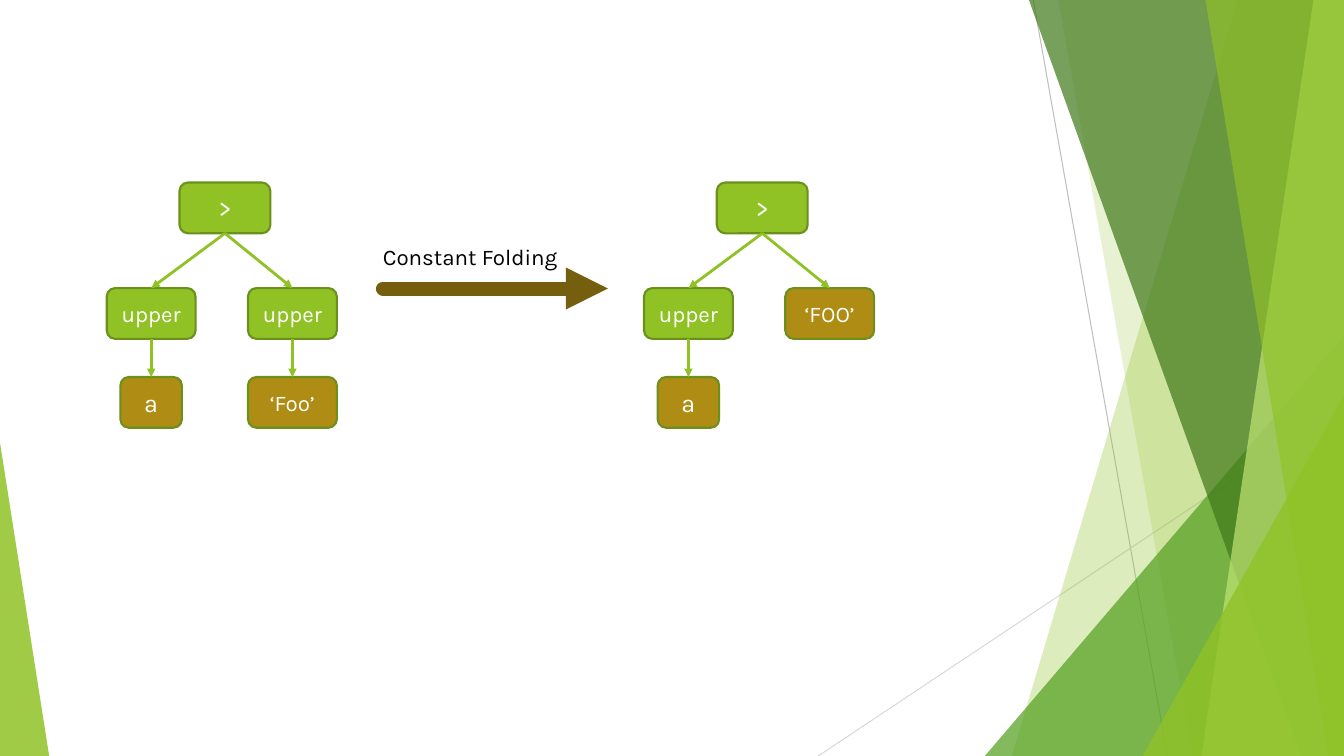
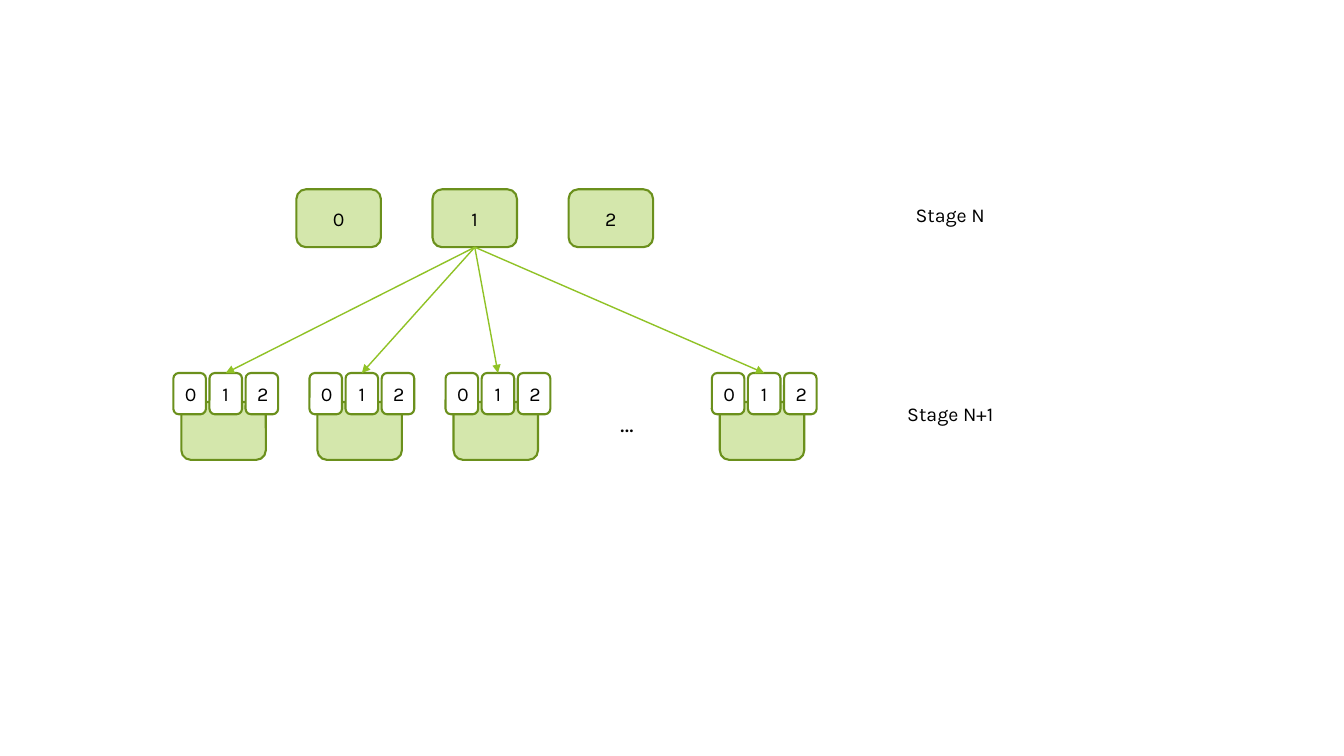
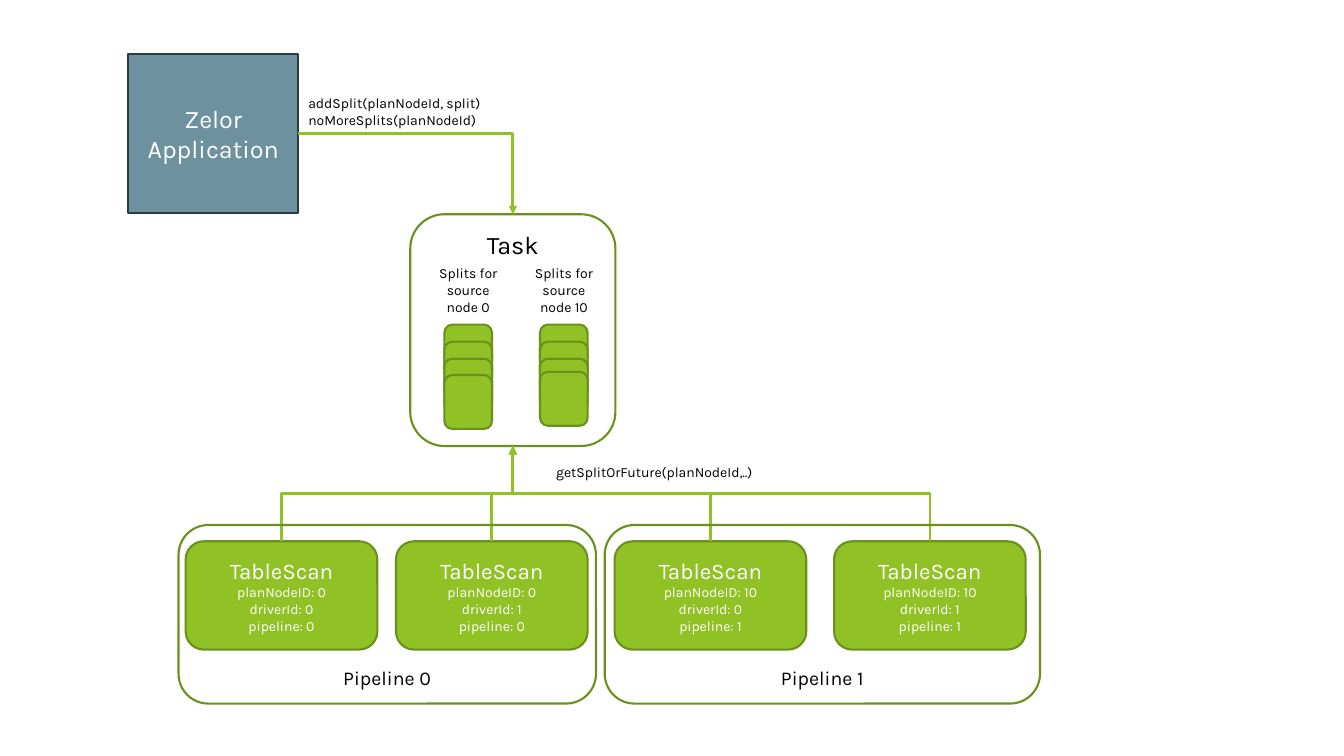
from dataclasses import dataclass

from lxml.etree import SubElement
from pptx import Presentation
from pptx.dml.color import RGBColor
from pptx.enum.shapes import MSO_CONNECTOR, MSO_SHAPE
from pptx.enum.text import MSO_ANCHOR, MSO_AUTO_SIZE, PP_ALIGN
from pptx.oxml.ns import qn
from pptx.util import Cm, Pt

ROUNDED, RECT, TRIANGLE = MSO_SHAPE.ROUNDED_RECTANGLE, MSO_SHAPE.RECTANGLE, MSO_SHAPE.ISOSCELES_TRIANGLE
STRAIGHT, ELBOW = MSO_CONNECTOR.STRAIGHT, MSO_CONNECTOR.ELBOW
TOP, MIDDLE, BOTTOM = MSO_ANCHOR.TOP, MSO_ANCHOR.MIDDLE, MSO_ANCHOR.BOTTOM
LEFT, CENTER = PP_ALIGN.LEFT, PP_ALIGN.CENTER
GROW = MSO_AUTO_SIZE.SHAPE_TO_FIT_TEXT
SITE_TOP, SITE_BOTTOM, SITE_RIGHT = 0, 2, 3


@dataclass(frozen=True)
class Theme:
    font: str = "Karla"
    green: str = "90C226"
    outline: str = "6B901C"
    gold: str = "AF8C14"
    brown: str = "755E0D"
    leaf: str = "54A021"
    forest: str = "3F7819"
    lime: str = "C0E474"
    steel: str = "6E91A0"
    slate: str = "2C3C43"
    white: str = "FFFFFF"
    black: str = "000000"
    grey: str = "BFBFBF"
    pale_grey: str = "D9D9D9"
    small: int = 10
    label: int = 14
    node: int = 16
    large: int = 18
    border: float = 1.5


T = Theme()
WIDTH, HEIGHT = 33.87, 19.05

BACKDROP_LINES = [
    (26.04, 0, 29.42, HEIGHT, T.grey),
    (WIDTH, 10.23, 20.62, HEIGHT, T.pale_grey),
]
BACKDROP_BANDS = [
    ("band", 31.19, 25.5, T.green, 30),
    ("band", 26.67, 30.05, T.green, 20),
    ("wedge", (24.82, 8.46, 9.05), 1, T.leaf, 72),
    ("band", 25.93, 32.79, T.forest, 70),
    ("band", 33.1, 30.28, T.lime, 70),
    ("band", 30.38, 33.48, T.green, 65),
    ("wedge", (28.8, 9.98, 5.07), 1, T.green, 80),
    ("wedge", (0, 11.15, 1.24), 0, T.green, 85),
]

TREE_ROWS = [4.6, 7.26, 9.5]
TREE_NODE_HEIGHT = 1.28
ROOT = (">", 5.67, 0, 2.29, T.green, T.large)
LEFT_UPPER = ("upper", 3.81, 1, 2.24, T.green, T.node)
COLUMN = ("a", 3.81, 2, 1.55, T.gold, T.large)
TREES = [
    (0, [ROOT, LEFT_UPPER, COLUMN,
         ("upper", 7.37, 1, 2.24, T.green, T.node),
         ("‘Foo’", 7.37, 2, 2.24, T.gold, T.node)],
     [(1, 2), (3, 4), (0, 1), (0, 3)]),
    (13.54, [ROOT, LEFT_UPPER, COLUMN,
             ("‘FOO’", 7.37, 1, 2.24, T.gold, T.node)],
     [(1, 2), (0, 1), (0, 3)]),
]

PARTITIONS = ["0", "1", "2"]
PARTITION_STEP = 3.43
PARTITION_SIZE = (2.13, 1.46)
SOURCE_LEFT, SOURCE_TOP = 7.47, 4.77
TARGET_LEFTS = [4.57 + i * PARTITION_STEP for i in range(3)] + [18.14]
TARGET_TOP = 10.13
SLOT_SHIFT, SLOT_STEP, SLOT_TOP = -0.2, 0.91, 9.4
SLOT_SIZE = (0.82, 1.04)
SENDER = 1
STAGES = [("Stage N", 4.98), ("Stage N+1", 10.01)]

QUEUES = [
    ("Splits for source node 0", 11.2, 9.45),
    ("Splits for source node 10", 13.61, 9.37),
]
QUEUE_TOP, QUEUE_STEP = 8.18, 0.43
PIPELINES = [
    ("Pipeline 0", 4.5, 10.52, "0", [4.68, 9.98]),
    ("Pipeline 1", 15.24, 10.97, "10", [15.49, 21.02]),
]


def rgb(code):
    return RGBColor.from_string(code)


def write(shape, lines, size, color, align=CENTER, anchor=MIDDLE):
    frame = shape.text_frame
    frame.word_wrap = True
    frame.vertical_anchor = anchor
    for i, line in enumerate(lines):
        text, points = line if isinstance(line, tuple) else (line, size)
        paragraph = frame.paragraphs[0] if i == 0 else frame.add_paragraph()
        paragraph.text = text
        paragraph.alignment = align
        paragraph.font.name = T.font
        paragraph.font.size = Pt(points)
        paragraph.font.color.rgb = rgb(color)


def paint(shape, fill, line=None, opacity=100):
    shape.shadow.inherit = False
    if fill:
        shape.fill.solid()
        shape.fill.fore_color.rgb = rgb(fill)
        if opacity < 100:
            color = shape.element.spPr.find(qn("a:solidFill"))[0]
            SubElement(color, qn("a:alpha")).set("val", str(opacity * 1000))
    else:
        shape.fill.background()
    if line:
        shape.line.color.rgb = rgb(line)
        shape.line.width = Pt(T.border)
    else:
        shape.line.fill.background()


def box(slide, left, top, width, height, fill=T.green, line=T.outline, opacity=100, kind=ROUNDED):
    shape = slide.shapes.add_shape(kind, Cm(left), Cm(top), Cm(width), Cm(height))
    paint(shape, fill, line, opacity)
    return shape


def caption(slide, left, top, width, height, lines, size, align=CENTER):
    shape = slide.shapes.add_textbox(Cm(left), Cm(top), Cm(width), Cm(height))
    write(shape, lines, size, T.black, align, TOP)
    shape.text_frame.auto_size = GROW


def stroke(connector, color, width, arrow=True):
    connector.line.color.rgb = rgb(color)
    connector.line.width = Pt(width)
    properties = connector.element.spPr
    if arrow:
        SubElement(properties.find(qn("a:ln")), qn("a:tailEnd")).set("type", "triangle")
    SubElement(properties, qn("a:effectLst"))


def line(slide, x1, y1, x2, y2, color, width, arrow=True):
    connector = slide.shapes.add_connector(STRAIGHT, Cm(x1), Cm(y1), Cm(x2), Cm(y2))
    stroke(connector, color, width, arrow)
    return connector


def link(slide, start, end, width=2, kind=STRAIGHT, sites=(SITE_BOTTOM, SITE_TOP)):
    connector = slide.shapes.add_connector(kind, 0, 0, 0, 0)
    connector.begin_connect(start, sites[0])
    connector.end_connect(end, sites[1])
    stroke(connector, T.green, width)
    return connector


def turn_upward(connector):
    x1, y1, x2, y2 = connector.begin_x, connector.begin_y, connector.end_x, connector.end_y
    rise, run = abs(y1 - y2), abs(x1 - x2)
    rightward = x2 > x1
    frame = connector.element.spPr.find(qn("a:xfrm"))
    frame.set("rot", str((90 if rightward else 270) * 60000))
    frame.set("flipH", "1" if rightward else "0")
    frame.set("flipV", "1")
    connector.left, connector.top = (x1 + x2 - rise) // 2, (y1 + y2 - run) // 2
    connector.width, connector.height = rise, run


def draw_backdrop(slide):
    for x1, y1, x2, y2, color in BACKDROP_LINES:
        line(slide, x1, y1, x2, y2, color, 0.75, arrow=False)
    for kind, start, end, color, opacity in BACKDROP_BANDS:
        if kind == "wedge":
            left, top, width = start
            wedge = box(slide, left, top, width, HEIGHT - top, color, None, opacity, TRIANGLE)
            wedge.adjustments[0] = end
        else:
            outline = slide.shapes.build_freeform(Cm(start), 0)
            corners = [(WIDTH, 0), (WIDTH, HEIGHT), (end, HEIGHT)]
            outline.add_line_segments([(Cm(x), Cm(y)) for x, y in corners])
            paint(outline.convert_to_shape(), color, None, opacity)


def draw_constant_folding(slide):
    draw_backdrop(slide)
    for shift, nodes, edges in TREES:
        drawn = []
        for text, middle, row, width, fill, size in nodes:
            node = box(slide, shift + middle - width / 2, TREE_ROWS[row], width, TREE_NODE_HEIGHT, fill)
            write(node, [text], size, T.white)
            drawn.append(node)
        for parent, child in edges:
            link(slide, drawn[parent], drawn[child])
    folding = line(slide, 9.65, 7.27, 15.32, 7.27, T.brown, 10)
    folding.element.spPr.find(qn("a:ln")).set("cap", "rnd")
    caption(slide, 9.4, 5.99, 5.26, 0.94, ["Constant Folding"], T.node, LEFT)


def draw_stages(slide):
    receivers = []
    for left in TARGET_LEFTS:
        box(slide, left, TARGET_TOP, *PARTITION_SIZE, opacity=38)
        for i, number in enumerate(PARTITIONS):
            slot = box(slide, left + SLOT_SHIFT + i * SLOT_STEP, SLOT_TOP, *SLOT_SIZE, T.white)
            write(slot, [number], T.label, T.black)
            if i == SENDER:
                receivers.append(slot)
    caption(slide, 14.91, TARGET_TOP, 1.78, 1.02, ["…"], T.large)
    sources = []
    for i, number in enumerate(PARTITIONS):
        source = box(slide, SOURCE_LEFT + i * PARTITION_STEP, SOURCE_TOP, *PARTITION_SIZE, opacity=38)
        write(source, [number], T.label, T.black)
        sources.append(source)
    for name, top in STAGES:
        caption(slide, 21.18, top, 5.54, 0.86, [name], T.label)
    for receiver in receivers:
        link(slide, sources[SENDER], receiver, width=1)


def draw_splits(slide):
    task = box(slide, 10.34, 5.4, 5.17, 5.84, None)
    write(task, ["Task"], T.large, T.black, anchor=TOP)
    for text, left, last_top in QUEUES:
        for top in [QUEUE_TOP + i * QUEUE_STEP for i in range(3)] + [last_top]:
            box(slide, left, top, 1.2, 1.36)
        caption(slide, left - 0.52, 6.55, 2.24, 1.55, [text], T.small)

    application = box(slide, 3.23, 1.36, 4.29, 4.02, T.steel, T.slate, kind=RECT)
    write(application, ["Zelor Application"], T.large, T.white)
    add_split = link(slide, application, task, kind=ELBOW, sites=(SITE_RIGHT, SITE_TOP))
    add_split.element.spPr.find(qn("a:prstGeom")).set("prst", "bentConnector2")
    caption(slide, 7.52, 2.26, 7.24, 1.12,
            ["addSplit(planNodeId, split)", "noMoreSplits(planNodeId)"], T.small, LEFT)
    caption(slide, 11.23, 11.56, 10.52, 0.69, ["getSplitOrFuture(planNodeId,..)"], T.small)

    for pipeline, (name, left, width, plan_node, scan_lefts) in enumerate(PIPELINES):
        for driver, scan_left in enumerate(scan_lefts):
            scan = box(slide, scan_left, 13.64, 4.83, 2.73)
            details = [f"planNodeID: {plan_node}", f"driverId: {driver}", f"pipeline: {pipeline}"]
            write(scan, [("TableScan", T.node)] + details, T.small, T.white)
            turn_upward(link(slide, scan, task, kind=ELBOW, sites=(SITE_TOP, SITE_BOTTOM)))
        frame = box(slide, left, 13.23, width, 4.5, None)
        write(frame, [name], T.label, T.black, anchor=BOTTOM)


def main():
    deck = Presentation()
    deck.slide_width, deck.slide_height = Cm(WIDTH), Cm(HEIGHT)
    blank = deck.slide_layouts[6]
    for draw in (draw_constant_folding, draw_stages, draw_splits):
        draw(deck.slides.add_slide(blank))
    deck.save("out.pptx")


if __name__ == "__main__":
    main()
